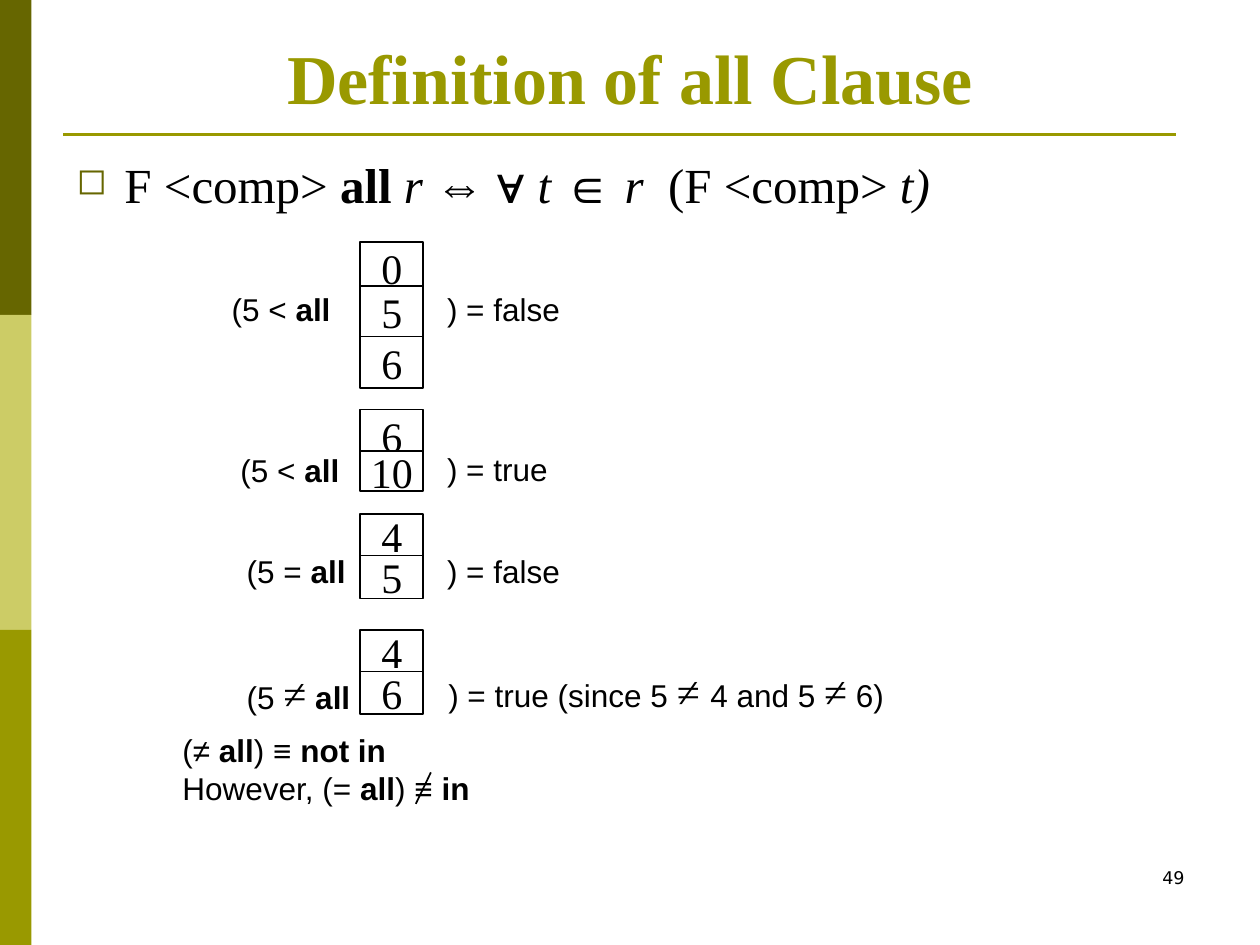
from lxml import etree
from pptx import Presentation
from pptx import util as u
from pptx.dml.color import RGBColor
from pptx.enum import shapes, text
from pptx.oxml import ns

OLIVE = RGBColor(0x99, 0x99, 0x00)
DARK_OLIVE = RGBColor(0x66, 0x66, 0x00)
LIGHT_OLIVE = RGBColor(0xCC, 0xCC, 0x66)
BLACK = RGBColor(0, 0, 0)
WHITE = RGBColor(0xFF, 0xFF, 0xFF)
SERIF, SANS, NUMBER = "Times New Roman", "Arial", "DejaVu Sans"


class Deck:
    """Holds the style and the current slide; places each kind of element."""

    def __init__(self, prs):
        self.s = prs.slides.add_slide(prs.slide_layouts[6])

    def add_runs(self, p, runs, size, font, color=BLACK):
        """Runs are (text, marks): b bold, i italic, m large serif symbol."""
        for words, marks in runs:
            r = p.add_run()
            r.text = words
            r.font.size = u.Pt(24 if "m" in marks else size)
            r.font.name = SERIF if "m" in marks else font
            r.font.bold = "b" in marks
            r.font.italic = "i" in marks
            r.font.color.rgb = color

    def text(self, box, lines, size=18, font=SANS, color=BLACK,
             align=text.PP_ALIGN.LEFT, anchor=text.MSO_ANCHOR.TOP):
        sp = self.s.shapes.add_textbox(*map(u.Inches, box))
        tf = sp.text_frame
        tf.word_wrap = True
        tf.vertical_anchor = anchor
        for n, runs in enumerate(lines):
            p = tf.add_paragraph() if n else tf.paragraphs[0]
            p.alignment = align
            self.add_runs(p, runs, size, font, color)
        return sp

    def bullet(self, p, char, color, percent, indent):
        pPr = p._p.get_or_add_pPr()
        pPr.set("marL", str(u.Inches(indent)))
        pPr.set("indent", str(-u.Inches(indent)))
        clr = etree.SubElement(pPr, ns.qn("a:buClr"))
        etree.SubElement(clr, ns.qn("a:srgbClr"), val=str(color))
        etree.SubElement(pPr, ns.qn("a:buSzPct"), val=str(percent * 1000))
        etree.SubElement(pPr, ns.qn("a:buChar"), char=char)

    def rect(self, box, fill, line=None):
        sp = self.s.shapes.add_shape(shapes.MSO_SHAPE.RECTANGLE, *map(u.Inches, box))
        sp.shadow.inherit = False
        sp.fill.solid()
        sp.fill.fore_color.rgb = fill
        if line is None:
            sp.line.fill.background()
        else:
            sp.line.color.rgb = line
            sp.line.width = u.Pt(1)
        return sp

    def cell(self, top, height, value):
        tf = self.rect((2.86, top, 0.5, height), WHITE, BLACK).text_frame
        tf.word_wrap = False
        tf.vertical_anchor = text.MSO_ANCHOR.MIDDLE
        p = tf.paragraphs[0]
        p.alignment = text.PP_ALIGN.CENTER
        self.add_runs(p, [(value, "")], 24, SERIF)

    def line(self, ends, color, width):
        c = self.s.shapes.add_connector(shapes.MSO_CONNECTOR.STRAIGHT, *map(u.Inches, ends))
        c.line.color.rgb = color
        c.line.width = u.Pt(width)
        etree.SubElement(c._element.spPr, ns.qn("a:effectLst"))


def main():
    prs = Presentation()
    prs.slide_width, prs.slide_height = u.Inches(10), u.Inches(7.5)
    deck = Deck(prs)

    # Side bands, title rule and page number
    for n, color in enumerate((DARK_OLIVE, LIGHT_OLIVE, OLIVE)):
        deck.rect((0, 2.5 * n, 0.25, 2.5), color)
    deck.line((0.5, 1.07, 9.33, 1.07), OLIVE, 1.5)
    deck.text((7.17, 6.83, 2.33, 0.5), [[("49", "")]], 10, NUMBER,
              align=text.PP_ALIGN.RIGHT)

    # Title
    deck.text((0.5, 0.3, 9, 0.69), [[("Definition of all Clause", "b")]], 40, SERIF,
              OLIVE, text.PP_ALIGN.CENTER, text.MSO_ANCHOR.BOTTOM)

    # Definition
    definition = [("F <comp> ", ""), ("all ", "b"), ("r ", "i"), ("⇔ ∀ ", ""),
                  ("t ", "i"), ("∈", ""), (" r ", "i"), (" (F <comp> ", ""), ("t)", "i")]
    sp = deck.text((0.51, 1.18, 7.8, 0.43), [definition], 28, SERIF)
    deck.bullet(sp.text_frame.paragraphs[0], "◻", DARK_OLIVE, 75, 0.38)

    # Value columns: top, height, value
    for top, height, value in (
            (1.92, 0.41, "0"), (2.27, 0.41, "5"), (2.67, 0.41, "6"),
            (3.25, 0.42, "6"), (3.58, 0.32, "10"),
            (4.08, 0.34, "4"), (4.41, 0.34, "5"),
            (5, 0.34, "4"), (5.33, 0.34, "6")):
        deck.cell(top, height, value)

    # Comparisons left of the columns, results right of them
    less = [("(5 < ", ""), ("all", "b")]
    equal = [("(5 = ", ""), ("all", "b")]
    unequal = [("(5 ", ""), ("≠", "m"), (" ", ""), ("all", "b")]
    since = [(") = true (since 5 ", ""), ("≠ ", "m"), ("4 and 5 ", ""),
             ("≠", "m"), (" 6)", "")]
    for box, runs in (
            ((1.74, 2.25, 1.33, 0.4), less),
            ((3.45, 2.25, 1.33, 0.4), [(") = false", "")]),
            ((1.81, 3.53, 1.33, 0.4), less),
            ((3.45, 3.52, 1.33, 0.4), [(") = true", "")]),
            ((1.86, 4.33, 1.33, 0.4), equal),
            ((3.45, 4.33, 1.33, 0.4), [(") = false", "")]),
            ((1.86, 5.25, 1.83, 0.5), unequal),
            ((3.46, 5.23, 5, 0.5), since)):
        deck.text(box, [runs])

    # Conclusion, with a slash through the second equivalence sign
    deck.text((1.35, 5.75, 7.44, 0.78), [
        [("(≠ ", ""), ("all", "b"), (") ≡ ", ""), ("not in", "b")],
        [("However, (= ", ""), ("all", "b"), (") ≡ ", ""), ("in", "b")]])
    deck.line((3.42, 6.13, 3.3, 6.38), BLACK, 1)

    prs.save("out.pptx")


if __name__ == "__main__":
    main()
